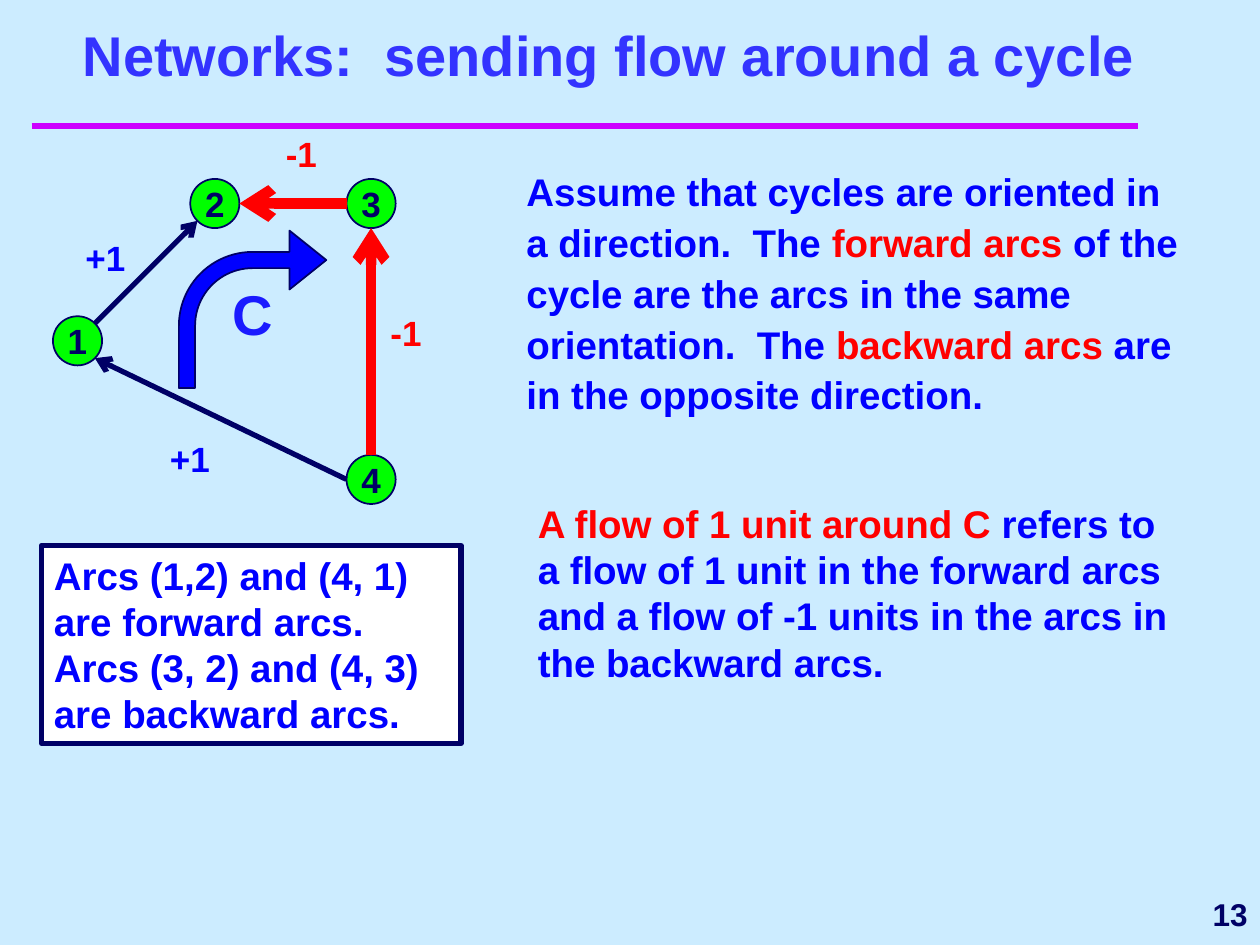
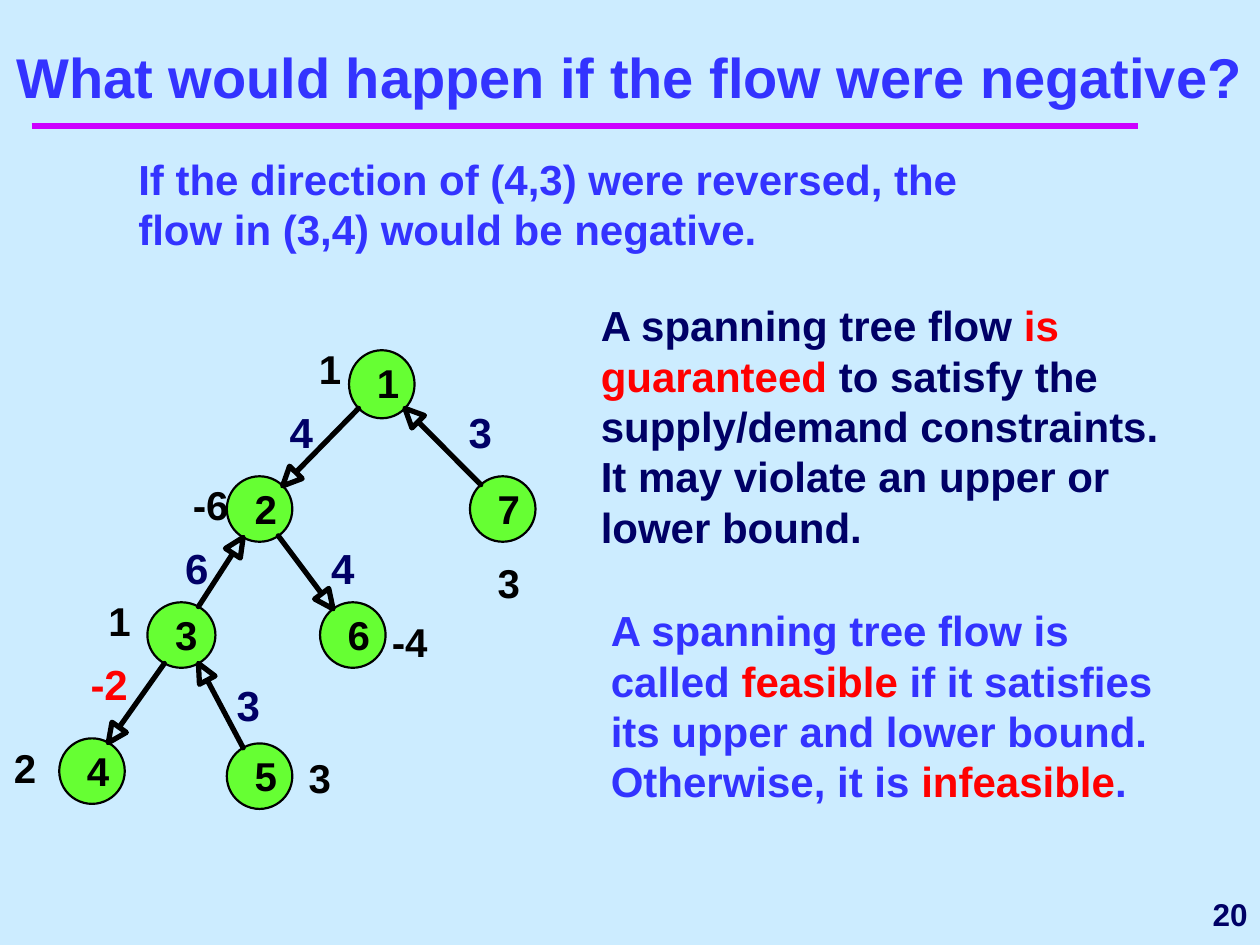
import math
from dataclasses import dataclass

from lxml import etree
from pptx import Presentation
from pptx.dml.color import RGBColor
from pptx.enum.shapes import MSO_CONNECTOR, MSO_SHAPE
from pptx.enum.text import MSO_ANCHOR, MSO_AUTO_SIZE, PP_ALIGN
from pptx.oxml.ns import qn
from pptx.util import Inches, Pt

LEFT, CENTER, RIGHT = PP_ALIGN.LEFT, PP_ALIGN.CENTER, PP_ALIGN.RIGHT
TOP, MIDDLE, BOTTOM = MSO_ANCHOR.TOP, MSO_ANCHOR.MIDDLE, MSO_ANCHOR.BOTTOM
OVAL, RECT, BENT_ARROW = MSO_SHAPE.OVAL, MSO_SHAPE.RECTANGLE, MSO_SHAPE.BENT_ARROW
STRAIGHT = MSO_CONNECTOR.STRAIGHT
NO_AUTOFIT = MSO_AUTO_SIZE.NONE


@dataclass(frozen=True)
class Theme:
    font: str = "Arial"
    background: str = "CCECFF"
    rule: str = "CC00FF"
    title: str = "3333FF"
    navy: str = "000066"
    blue: str = "0000FF"
    cycle: str = "1A1AFF"
    red: str = "FF0000"
    black: str = "000000"
    white: str = "FFFFFF"
    cycle_node: str = "00FF00"
    tree_node: str = "66FF33"
    title_size: float = 32
    body_size: float = 22
    large_size: float = 24
    tree_size: float = 23
    label_size: float = 20
    number_size: float = 18


T = Theme()
Point = tuple[float, float]
Box = tuple[float, float, float, float]
Runs = list[tuple[str, str]]


@dataclass(frozen=True)
class Node:
    label: str
    x: float
    y: float
    w: float
    h: float

    def rim(self, degrees: float) -> Point:
        """Point on the outline, counter-clockwise from the right."""
        a = math.radians(degrees)
        return (self.x + self.w / 2 * (1 + math.cos(a)),
                self.y + self.h / 2 * (1 - math.sin(a)))


@dataclass(frozen=True)
class Arc:
    tail: str
    tail_angle: float
    head: str
    head_angle: float
    color: str = T.black
    width: float = 3


@dataclass(frozen=True)
class Label:
    text: str
    x: float
    y: float
    w: float
    color: str


def rgb(color: str) -> RGBColor:
    return RGBColor.from_string(color)


def inches(values) -> list:
    return [Inches(v) for v in values]


# Text
def write(tf, runs: Runs, *, size: float, align=LEFT, anchor=TOP,
          wrap: bool = True, inset: bool = True, spacing: float = 1.0) -> None:
    tf.auto_size = NO_AUTOFIT
    tf.word_wrap, tf.vertical_anchor = wrap, anchor
    tf.margin_left = tf.margin_right = Inches(0.1 if inset else 0)
    tf.margin_top = tf.margin_bottom = Inches(0.05 if inset else 0)
    p = tf.paragraphs[0]
    p.alignment, p.line_spacing = align, spacing
    p.space_before = Pt(0)
    for text, color in runs:
        r = p.add_run()
        r.text = text
        r.font.name, r.font.size, r.font.bold = T.font, Pt(size), True
        r.font.color.rgb = rgb(color)


def add_text(s, box: Box, runs: Runs, **fmt) -> None:
    write(s.shapes.add_textbox(*inches(box)).text_frame, runs, **fmt)


def add_labels(s, labels: list[Label], height: float, **fmt) -> None:
    for lb in labels:
        add_text(s, (lb.x, lb.y, lb.w, height), [(lb.text, lb.color)], **fmt)


# Shapes and lines
def add_shape(s, kind, box: Box, fill: str, line: str, width: float):
    sp = s.shapes.add_shape(kind, *inches(box))
    sp.shadow.inherit = False
    sp.fill.solid()
    sp.fill.fore_color.rgb = rgb(fill)
    sp.line.color.rgb, sp.line.width = rgb(line), Pt(width)
    return sp


def add_line(s, start: Point, end: Point, color: str, width: float,
             arrow: bool = False) -> None:
    c = s.shapes.add_connector(STRAIGHT, *inches(start + end))
    c.line.color.rgb, c.line.width = rgb(color), Pt(width)
    if arrow:
        etree.SubElement(c.get_or_add_ln(), qn("a:tailEnd"), type="arrow")
    etree.SubElement(c._element.spPr, qn("a:effectLst"))


def add_open_arrow(s, tail: Point, tip: Point, color: str, width: float) -> None:
    """Arrow with a hollow triangular head."""
    length, half = 0.15, 0.07
    dist = math.dist(tail, tip)
    ux, uy = (tip[0] - tail[0]) / dist, (tip[1] - tail[1]) / dist
    base = (tip[0] - length * ux, tip[1] - length * uy)
    left = (base[0] + half * uy, base[1] - half * ux)
    right = (base[0] - half * uy, base[1] + half * ux)
    fb = s.shapes.build_freeform(*inches(tail))
    fb.add_line_segments([inches(pt) for pt in (base, left, tip, right, base)])
    sp = fb.convert_to_shape()
    sp.shadow.inherit = False
    sp.fill.background()
    sp.line.color.rgb, sp.line.width = rgb(color), Pt(width)


# Frame shared by the slides
def add_slide(prs, title: str, title_box: Box, number: str):
    s = prs.slides.add_slide(prs.slide_layouts[5])
    add_line(s, (0.25, 1), (9.03, 1), T.rule, 4)
    sp = s.shapes.title
    sp.left, sp.top, sp.width, sp.height = inches(title_box)
    write(sp.text_frame, [(title, T.title)], size=T.title_size,
          align=CENTER, anchor=BOTTOM)
    add_text(s, (8.08, 7, 1.92, 0.5), [(number, T.navy)],
             size=T.number_size, align=RIGHT, anchor=MIDDLE)
    return s


def cycle_slide(prs) -> None:
    s = add_slide(prs, "Networks:  sending flow around a cycle",
                  (0.25, 0, 9.17, 0.75), "13")

    # Network
    d = 0.39
    nodes = {n.label: n for n in (
        Node("1", 0.42, 2.51, d, d), Node("2", 1.51, 1.42, d, d),
        Node("3", 2.75, 1.42, d, d), Node("4", 2.75, 3.61, d, d))}
    for n in nodes.values():
        sp = add_shape(s, OVAL, (n.x, n.y, n.w, n.h), T.cycle_node, T.navy, 1)
        write(sp.text_frame, [(n.label, T.navy)], size=T.label_size,
              align=CENTER, anchor=MIDDLE, wrap=False)
    for a in (Arc("4", 90, "3", 270, T.red, 6), Arc("4", 180, "1", 315, T.navy),
              Arc("1", 45, "2", 225, T.navy), Arc("3", 180, "2", 0, T.red, 6)):
        add_line(s, nodes[a.tail].rim(a.tail_angle),
                 nodes[a.head].rim(a.head_angle), a.color, a.width, arrow=True)

    # Orientation of the cycle
    add_text(s, (1.75, 2.17, 0.52, 0.64), [("C", T.cycle)],
             size=T.title_size, wrap=False)
    bend = add_shape(s, BENT_ARROW, (1.42, 1.83, 1.17, 1.25), T.blue, T.navy, 1)
    for i, ratio in enumerate((0.11, 0.2, 0.25, 0.5)):
        bend.adjustments[i] = ratio

    # Explanations
    add_text(s, (4.08, 1.25, 5.42, 2.12), [
        ("Assume that cycles are oriented in a direction.  The ", T.blue),
        ("forward arcs ", T.red),
        ("of the cycle are the arcs in the same orientation.  The", T.blue),
        (" backward arcs", T.red),
        (" are in the opposite direction.", T.blue),
    ], size=T.body_size, spacing=1.1)
    add_text(s, (4.17, 3.92, 5.33, 1.57), [
        ("A flow of 1 unit around C", T.red),
        (" refers to a flow of 1 unit in the forward arcs and a flow of -1 "
         "units in the arcs in the backward arcs.", T.blue),
    ], size=T.body_size)
    sp = add_shape(s, RECT, (0.33, 4.33, 3.33, 1.57), T.white, T.navy, 3)
    write(sp.text_frame, [
        ("Arcs (1,2) and (4, 1) are forward arcs.  "
         "Arcs (3, 2) and (4, 3) are backward arcs.", T.blue),
    ], size=T.body_size)

    # Flow changes
    add_labels(s, [
        Label("+1", 0.58, 1.83, 0.83, T.blue), Label("+1", 1.25, 3.42, 0.83, T.blue),
        Label("-1", 3, 2.42, 0.67, T.red), Label("-1", 2.17, 1, 0.67, T.red),
    ], 0.44, size=T.label_size)


def tree_slide(prs) -> None:
    s = add_slide(prs, "What would happen if the flow were negative?",
                  (0, 0.17, 10, 0.75), "20")

    # Spanning tree
    d = 0.52
    nodes = {n.label: n for n in (
        Node("1", 2.77, 2.78, d, 0.54), Node("3", 1.17, 4.78, 0.54, d),
        Node("6", 2.54, 4.78, d, d), Node("4", 0.47, 5.86, d, d),
        Node("5", 1.8, 5.9, d, d), Node("2", 1.8, 3.78, d, d),
        Node("7", 3.73, 3.78, d, d))}
    for n in nodes.values():
        add_shape(s, OVAL, (n.x, n.y, n.w, n.h), T.tree_node, T.black, 1.25)
    node_labels = [Label(n.label, n.x + 0.22, n.y + 0.06, 0.18, T.black)
                   for n in nodes.values()]
    supplies = [Label(text, x, y, 0.18 if len(text) == 1 else 0.29, T.black)
                for text, x, y in (
                    ("1", 2.53, 2.73), ("3", 3.95, 4.43), ("-6", 1.53, 3.81),
                    ("-4", 3.11, 4.9), ("1", 0.86, 4.73), ("2", 0.11, 5.9),
                    ("3", 2.45, 5.98))]
    add_labels(s, node_labels + supplies, 0.38, size=T.tree_size,
               wrap=False, inset=False)
    for a in (Arc("1", 225, "2", 45), Arc("3", 60, "2", 240),
              Arc("3", 240, "4", 60), Arc("5", 120, "3", 300),
              Arc("2", 305, "6", 127), Arc("7", 132, "1", 315)):
        add_open_arrow(s, nodes[a.tail].rim(a.tail_angle),
                       nodes[a.head].rim(a.head_angle), a.color, a.width)

    # Arc flows
    add_labels(s, [
        Label("-2", 0.62, 5.18, 0.58, T.red), Label("3", 1.78, 5.34, 0.58, T.navy),
        Label("6", 1.37, 4.26, 0.58, T.navy), Label("4", 2.53, 4.26, 0.58, T.navy),
        Label("4", 2.2, 3.18, 0.58, T.navy), Label("3", 3.62, 3.18, 0.58, T.navy),
    ], 0.5, size=T.large_size)

    # Explanations
    add_text(s, (1, 1.17, 6.83, 0.9), [
        ("If the direction of (4,3) were reversed, the flow in (3,4) would be "
         "negative.", T.title),
    ], size=T.large_size)
    add_text(s, (4.67, 2.33, 5, 2.1), [
        ("A spanning tree flow", T.navy),
        (" is guaranteed", T.red),
        (" to satisfy the supply/demand constraints.  It may violate an upper "
         "or lower bound.", T.navy),
    ], size=T.large_size)
    add_text(s, (4.75, 4.75, 4.83, 1.7), [
        ("A spanning tree flow is called ", T.title),
        ("feasible", T.red),
        (" if it satisfies its upper and lower bound.  Otherwise, it is ", T.title),
        ("infeasible", T.red),
        (".", T.title),
    ], size=T.large_size)


def main() -> None:
    prs = Presentation()
    prs.slide_width, prs.slide_height = Inches(10), Inches(7.5)
    fill = prs.slide_master.background.fill
    fill.solid()
    fill.fore_color.rgb = rgb(T.background)
    cycle_slide(prs)
    tree_slide(prs)
    prs.save("out.pptx")


if __name__ == "__main__":
    main()
